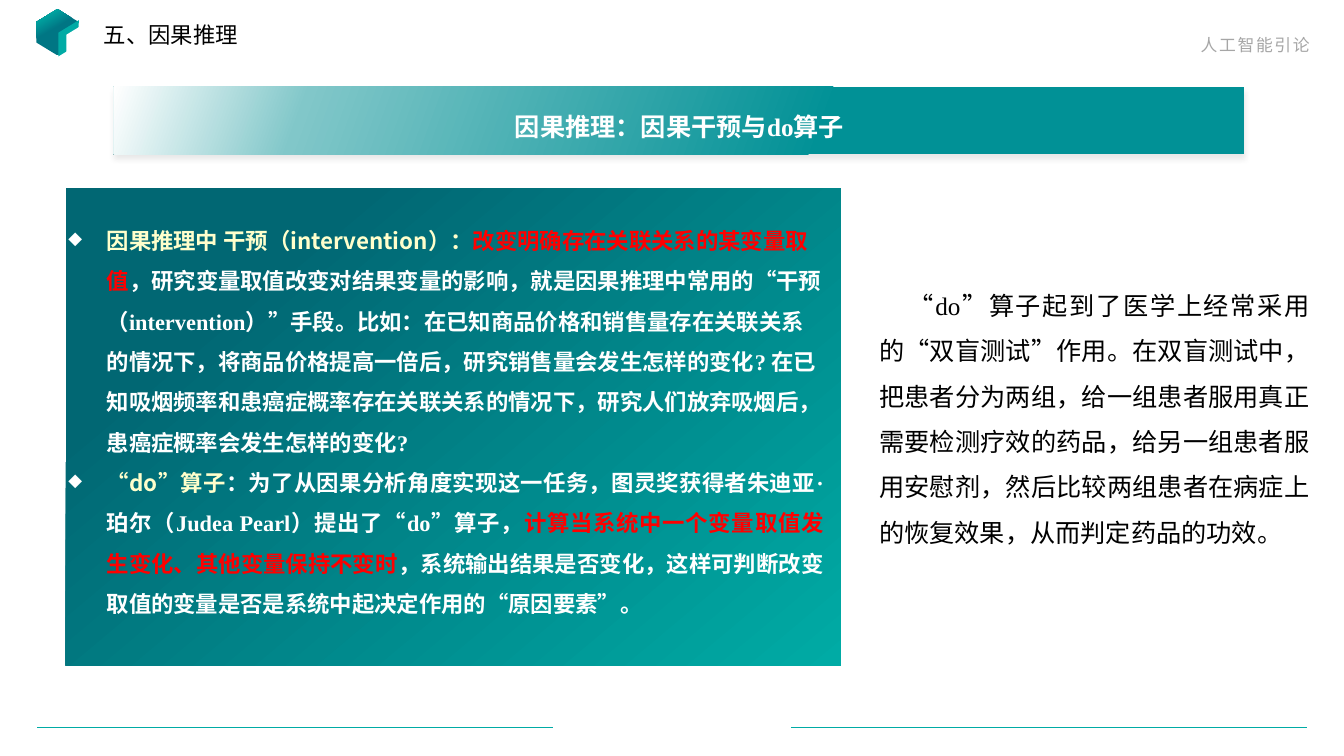
from lxml.etree import SubElement as Sub
from pptx import Presentation
from pptx.dml.color import RGBColor as Rgb
from pptx.enum.shapes import MSO_CONNECTOR as Link, MSO_SHAPE as Form
from pptx.enum.text import PP_ALIGN as Align
from pptx.oxml.ns import qn
from pptx.util import Inches, Pt

HUES = {
    "deep": "016773", "dark": "007684", "teal": "00ABA5", "band": "019196",
    "pale": "81C7C9", "white": "FFFFFF", "black": "000000", "grey": "A6A6A6",
    "red": "FF0000", "cream": "FFFFCC", "shade": "262626",
}
SANS, SERIF = "Noto Sans CJK SC", "Times New Roman"


def node(top, tag, **keys):
    return Sub(top, qn(tag), {k: str(v) for k, v in keys.items()})


def write(para, text, size=16, hue="black", font=SERIF, bold=False, space=0):
    run = para.add_run()
    run.text = text
    face = run.font
    face.size, face.bold, face.name = Pt(size), bold, font
    face.color.rgb = Rgb.from_string(HUES[hue])
    props = run.font._element
    props.set("lang", "zh-CN")
    if space:
        props.set("spc", str(int(space * 100)))
    node(props, "a:ea", typeface=SANS)


class Page:
    def __init__(self):
        self.deck = Presentation()
        self.deck.slide_width = Inches(13.33)
        self.deck.slide_height = Inches(7.5)
        self.slide = self.deck.slides.add_slide(self.deck.slide_layouts[6])

    def place(self, *parts):
        sides = (self.deck.slide_width, self.deck.slide_height) * 2
        return [int(side * part / 100) for side, part in zip(sides, parts)]

    def shape(self, form, box, hue=None, grad=None, angle=0, turn=0, adjust=()):
        item = self.slide.shapes.add_shape(form, *self.place(*box))
        item.shadow.inherit = False
        item.line.fill.background()
        item.rotation = turn
        for i, value in enumerate(adjust):
            item.adjustments[i] = value
        if grad:
            item.fill.gradient()
            stops = item.element.spPr.find(".//" + qn("a:gsLst"))
            for old in list(stops):
                stops.remove(old)
            for spot, name in grad:
                stop = node(stops, "a:gs", pos=spot * 1000)
                node(stop, "a:srgbClr", val=HUES[name])
            tilt = item.element.spPr.find(".//" + qn("a:lin"))
            tilt.set("ang", str(angle * 60000))
        else:
            item.fill.solid()
            item.fill.fore_color.rgb = Rgb.from_string(HUES[hue])
        return item

    def shade(self, item, hue, alpha, blur, drop):
        zone = item.element.spPr.find(qn("a:effectLst"))
        cast = node(zone, "a:outerShdw", blurRad=Pt(blur), dist=Pt(drop),
                    dir=90 * 60000, algn="t", rotWithShape=0)
        tint = node(cast, "a:srgbClr", val=HUES[hue])
        node(tint, "a:alpha", val=alpha * 1000)

    def rule(self, start, end, level):
        line = self.slide.shapes.add_connector(
            Link.STRAIGHT, *self.place(start, level, end, level))
        line.line.width = Pt(0.5)
        line.line.color.rgb = Rgb.from_string(HUES["teal"])
        node(line.element.spPr, "a:effectLst")

    def text(self, box, paras, size=16, lead=1.8, indent=0, bullet=False, **style):
        frame = self.slide.shapes.add_textbox(*self.place(*box)).text_frame
        frame.word_wrap = True
        for i, (align, runs) in enumerate(paras):
            para = frame.add_paragraph() if i else frame.paragraphs[0]
            para.alignment = align
            para.line_spacing = Pt(size * lead)
            props = para._p.get_or_add_pPr()
            if bullet:
                props.set("marL", str(Inches(0.38)))
                props.set("indent", str(-Inches(0.38)))
                node(node(props, "a:buClr"), "a:srgbClr", val=HUES["white"])
                node(props, "a:buSzPct", val=80000)
                node(props, "a:buChar", char="◆")
            elif indent:
                props.set("indent", str(Inches(indent)))
            for words, extra in runs:
                write(para, words, size=size, **{**style, **extra})


def main():
    page = Page()
    page.text((71.79, 3.73, 26.41, 4), [(Align.RIGHT, [("人工智能引论", {})])],
              size=12, lead=1.3, font=SANS, hue="grey", space=1.2)

    page.shape(Form.HEXAGON, (2.55, 1.47, 3.45, 5.6), turn=90, adjust=(0.305, 1.155),
               grad=[(57, "dark"), (87, "teal")], angle=150)
    for left, top, hue in ((3.75, 3.73, "teal"), (4.35, 4, "white")):
        page.shape(Form.PARALLELOGRAM, (left, top, 2.7, 2.67), hue=hue,
                   turn=328.6, adjust=(0.61,))

    edge, inner = 2.78, 41.11
    page.rule(inner, edge, 96.27)
    page.rule(100 - edge, 100 - inner, 96.27)

    page.text((6.98, 1.87, 12, 4.93), [(Align.LEFT, [("五、因果推理", {})])], lead=1.3)

    band = page.shape(Form.RECTANGLE, (8.48, 11.47, 84.1, 8.93), angle=200,
                      grad=[(37, "band"), (83, "pale"), (100, "white")])
    page.shade(band, "shade", alpha=10, blur=4, drop=3)
    page.text((15.15, 12, 70.82, 6.67), [(Align.CENTER, [
        ("因果推理：", {"font": SANS}),
        ("因果干预与do算子", {}),
    ])], size=18, hue="white", bold=True)

    page.shape(Form.ROUNDED_RECTANGLE, (4.88, 24.93, 57.69, 63.07), adjust=(0,),
               grad=[(22, "deep"), (100, "teal")], angle=50)
    term = {"font": SANS, "hue": "cream"}
    key = {"hue": "red"}
    page.text((4.35, 27.6, 57.69, 65.33), [
        (Align.LEFT, [
            ("因果推理中 干预（intervention）：", term),
            ("改变明确存在关联关系的某变量取值", key),
            ("，研究变量取值改变对结果变量的影响，就是因果推理中常用的“干预（intervention）”手段。"
             "比如：在已知商品价格和销售量存在关联关系的情况下，将商品价格提高一倍后，"
             "研究销售量会发生怎样的变化? 在已知吸烟频率和患癌症概率存在关联关系的情况下，"
             "研究人们放弃吸烟后，患癌症概率会发生怎样的变化?", {}),
        ]),
        (Align.JUSTIFY, [
            ("“do”算子", term),
            ("：为了从因果分析角度实现这一任务，图灵奖获得者朱迪亚·珀尔（Judea Pearl）"
             "提出了“do”算子，", {}),
            ("计算当系统中一个变量取值发生变化、其他变量保持不变时", key),
            ("，系统输出结果是否变化，这样可判断改变取值的变量是否是系统中起决定作用的“原因要素”。", {}),
        ]),
    ], bullet=True, hue="white", bold=True)

    page.text((64.67, 35.73, 33.53, 36.93), [(Align.JUSTIFY, [
        ("“do”算子起到了医学上经常采用的“双盲测试”作用。在双盲测试中，把患者分为两组，"
         "给一组患者服用真正需要检测疗效的药品，给另一组患者服用安慰剂，"
         "然后比较两组患者在病症上的恢复效果，从而判定药品的功效。", {}),
    ])], size=18, indent=0.29)

    page.deck.save("out.pptx")


if __name__ == "__main__":
    main()
